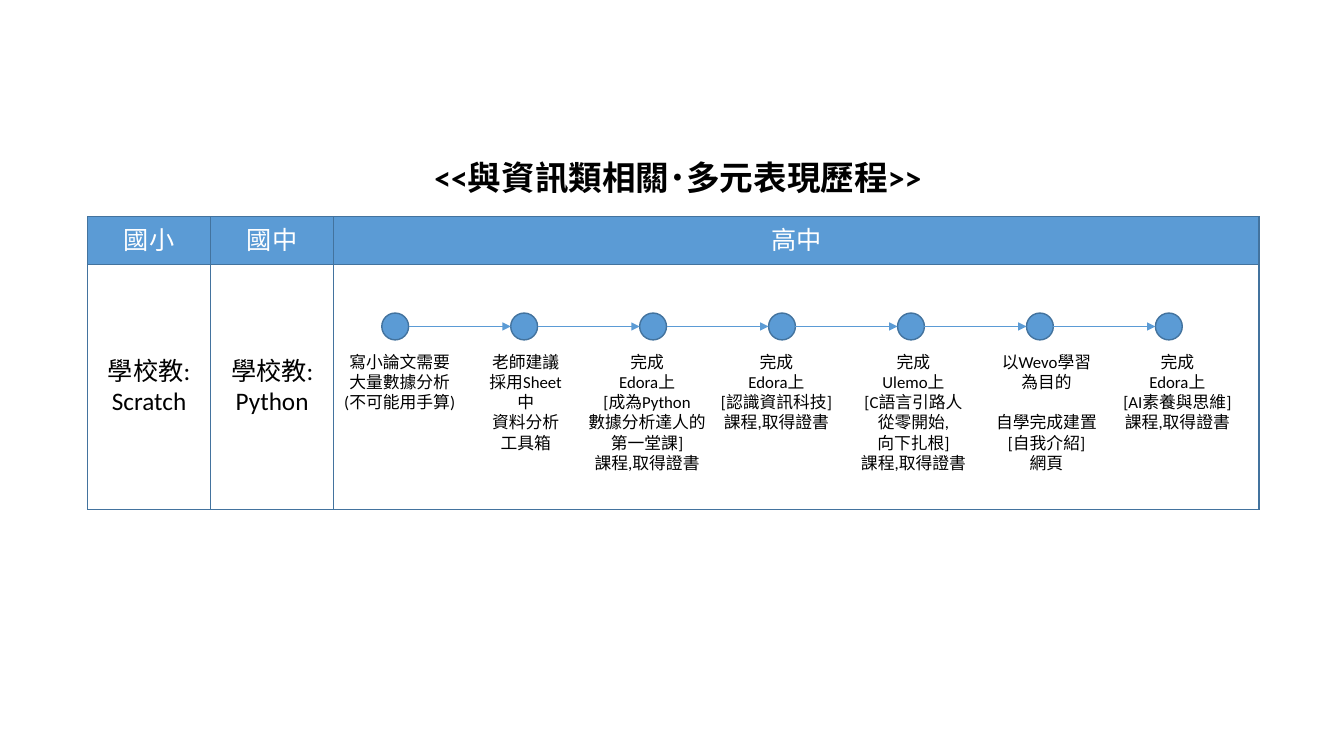
from dataclasses import dataclass

from lxml.etree import SubElement
from pptx import Presentation
from pptx.dml.color import RGBColor
from pptx.enum.shapes import MSO_CONNECTOR, MSO_SHAPE
from pptx.enum.text import MSO_ANCHOR, MSO_AUTO_SIZE, PP_ALIGN
from pptx.oxml.ns import qn
from pptx.util import Pt

TITLE = [("<<與資訊類相關", "Calibri"), ("˙", "Noto Sans CJK TC"),
         ("多元表現歷程>>", "Calibri")]
HEADERS = ["國小", "國中", "高中"]
LESSONS = [["學校教:", "Scratch"], ["學校教:", "Python"], []]

# Label lines, label width, shift of the label from its dot's centre
STAGES = [
    (["寫小論文需要", "大量數據分析", "(不可能用手算)"], 94.3, 3.2),
    (["老師建議", "採用Sheet中", "資料分析", "工具箱"], 75.6, 1.1),
    (["完成", "Edora上", "[成為Python", "數據分析達人的", "第一堂課]",
      "課程,取得證書"], 102.2, -4.3),
    (["完成", "Edora上", "[認識資訊科技]", "課程,取得證書"], 94.3, -4),
    (["完成", "Ulemo上", "[C語言引路人", "從零開始,", "向下扎根]",
      "課程,取得證書"], 90, 1.8),
    (["以Wevo學習", "為目的", "自學完成建置", "[自我介紹]", "網頁"], 87.1, 4.7),
    (["完成", "Edora上", "[AI素養與思維]", "課程,取得證書"], 92.9, 6.1),
]
PARTS = {"自學完成建置"}  # lines that open a second part of a label


@dataclass(frozen=True)
class Theme:
    blue: RGBColor = RGBColor(0x5B, 0x9B, 0xD5)
    border: RGBColor = RGBColor(0x43, 0x73, 0x9E)
    black: RGBColor = RGBColor(0, 0, 0)
    white: RGBColor = RGBColor(255, 255, 255)
    font: str = "Calibri"
    title: float = 24
    cell: float = 18
    label: float = 12
    part_gap: float = 14.4


T = Theme()
TABLE_LEFT, TABLE_TOP = 62.6, 154.8
COLUMNS, ROWS = [87.9, 87.9, 661], [34, 175]
FIRST_X, STEP, DOT_Y, DOT = 282.3, 92.1, 233.2, 19.2
LABEL_TOP = 247.7


def write(tf, lines, size, color=T.black, bold=False):
    """Fill a text frame; a line is a string or a list of (text, font)."""
    for i, line in enumerate(lines):
        p = tf.paragraphs[0] if i == 0 else tf.add_paragraph()
        p.alignment = PP_ALIGN.CENTER
        if line in PARTS if isinstance(line, str) else False:
            p.space_before = Pt(T.part_gap)
        for text, font in [(line, T.font)] if isinstance(line, str) else line:
            r = p.add_run()
            r.text = text
            r.font.name, r.font.size, r.font.bold = font, Pt(size), bold
            r.font.color.rgb = color
            SubElement(r.font._element, qn("a:ea"), typeface=font)


def set_borders(cell):
    """Draw all four sides; the lines must precede the fill in the XML."""
    props = cell._tc.get_or_add_tcPr()
    for side in ("a:lnL", "a:lnR", "a:lnT", "a:lnB"):
        line = SubElement(props, qn(side), w=str(Pt(1)))
        fill = SubElement(line, qn("a:solidFill"))
        SubElement(fill, qn("a:srgbClr"), val=str(T.border))


def add_title(slide):
    sp = slide.shapes.title
    sp.left, sp.top, sp.width, sp.height = Pt(295.2), Pt(108.7), Pt(378), Pt(36)
    tf = sp.text_frame
    tf.auto_size, tf.word_wrap = MSO_AUTO_SIZE.NONE, False
    tf.vertical_anchor = MSO_ANCHOR.TOP
    write(tf, [TITLE], T.title, bold=True)


def add_school_table(slide):
    table = slide.shapes.add_table(
        2, 3, Pt(TABLE_LEFT), Pt(TABLE_TOP), Pt(sum(COLUMNS)), Pt(sum(ROWS))).table
    for column, width in zip(table.columns, COLUMNS):
        column.width = Pt(width)
    for row, height in zip(table.rows, ROWS):
        row.height = Pt(height)
    for c, (header, lesson) in enumerate(zip(HEADERS, LESSONS)):
        for r, (lines, color) in enumerate([([header], T.white), (lesson, T.black)]):
            cell = table.cell(r, c)
            cell.vertical_anchor = MSO_ANCHOR.MIDDLE
            cell.margin_top = cell.margin_bottom = 0
            set_borders(cell)
            if r == 0:
                cell.fill.solid()
                cell.fill.fore_color.rgb = T.blue
            else:
                cell.fill.background()
            write(cell.text_frame, lines, T.cell, color)


def add_stage(slide, x, lines, width, shift):
    dot = slide.shapes.add_shape(MSO_SHAPE.OVAL, Pt(x - DOT / 2),
                                 Pt(DOT_Y - DOT / 2), Pt(DOT), Pt(DOT))
    dot.shadow.inherit = False
    dot.fill.solid()
    dot.fill.fore_color.rgb = T.blue
    dot.line.color.rgb, dot.line.width = T.border, Pt(1)
    label = slide.shapes.add_textbox(Pt(x + shift - width / 2), Pt(LABEL_TOP),
                                     Pt(width), Pt(94.3))
    label.text_frame.word_wrap = True
    write(label.text_frame, lines, T.label)


def add_arrow(slide, x1, x2):
    arrow = slide.shapes.add_connector(MSO_CONNECTOR.STRAIGHT, Pt(x1), Pt(DOT_Y),
                                       Pt(x2), Pt(DOT_Y))
    arrow.line.color.rgb, arrow.line.width = T.blue, Pt(0.5)
    SubElement(arrow.line._get_or_add_ln(), qn("a:tailEnd"), type="triangle")
    SubElement(arrow._element.spPr, qn("a:effectLst"))


def main():
    prs = Presentation()
    prs.slide_width, prs.slide_height = Pt(960), Pt(540)
    slide = prs.slides.add_slide(prs.slide_layouts[5])
    add_title(slide)
    add_school_table(slide)
    centres = [FIRST_X + i * STEP for i in range(len(STAGES))]
    for x, stage in zip(centres, STAGES):
        add_stage(slide, x, *stage)
    for x, following in zip(centres, centres[1:]):
        add_arrow(slide, x + DOT / 2, following - DOT / 2)
    prs.save("out.pptx")


if __name__ == "__main__":
    main()
